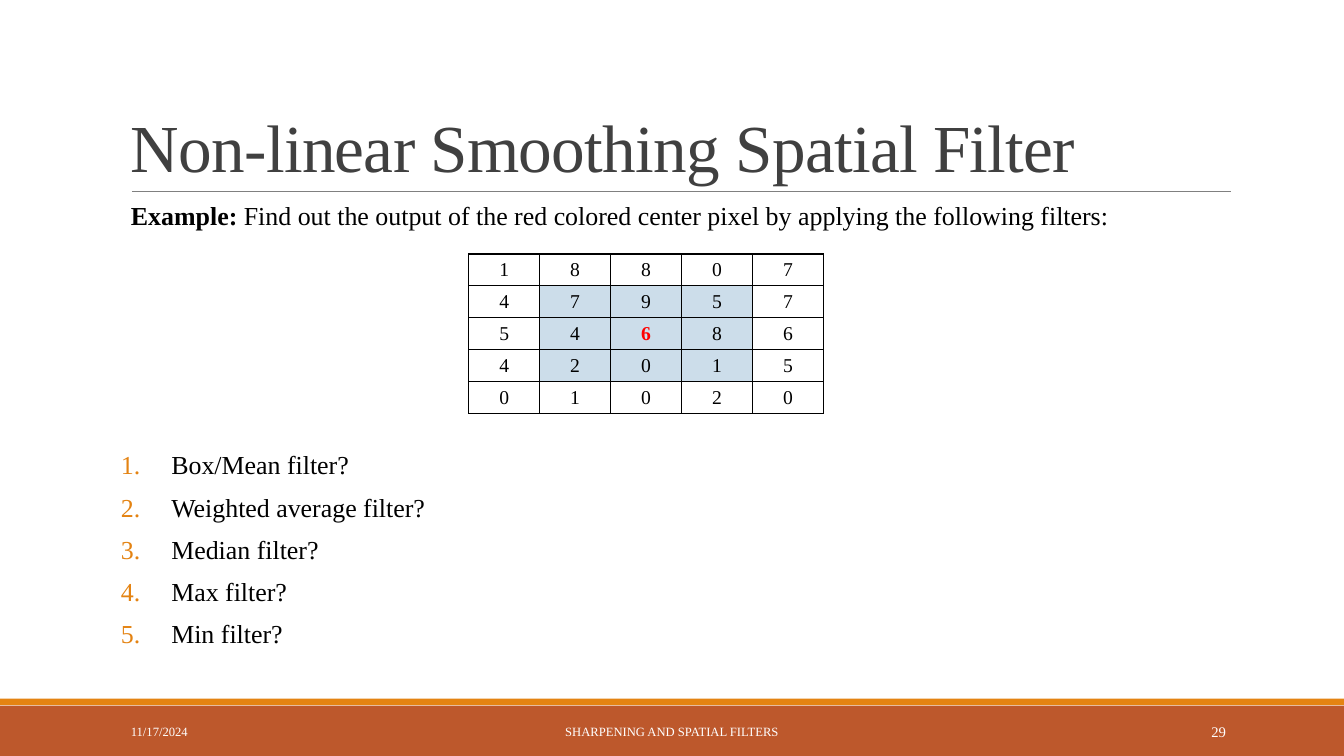
from dataclasses import dataclass

from lxml import etree
from pptx import Presentation
from pptx.dml.color import RGBColor
from pptx.enum import shapes, text
from pptx.oxml import ns
from pptx.util import Pt


@dataclass(frozen=True)
class Theme:
    font: str = "Times New Roman"
    title_size: float = 48
    body_size: float = 18.5
    table_size: float = 14
    footer_size: float = 9
    number_size: float = 10.5
    black: str = "000000"
    white: str = "FFFFFF"
    title: str = "404040"
    rule: str = "808080"
    bar: str = "BD582C"
    accent: str = "E48312"
    window: str = "CCDDEA"
    center: str = "FF0000"


THEME = Theme()
PIXELS = [
    [1, 8, 8, 0, 7],
    [4, 7, 9, 5, 7],
    [5, 4, 6, 8, 6],
    [4, 2, 0, 1, 5],
    [0, 1, 0, 2, 0],
]
FILTERS = ["Box/Mean filter?", "Weighted average filter?", "Median filter?",
           "Max filter?", "Min filter?"]


def rgb(color):
    return RGBColor.from_string(color)


def add_xml(parent, tag, **attributes):
    return etree.SubElement(parent, ns.qn(tag), attributes)


def style(paragraph, size, color, align=text.PP_ALIGN.LEFT):
    paragraph.alignment = align
    font = paragraph.font
    font.name, font.size, font.color.rgb = THEME.font, Pt(size), rgb(color)


def add_text_frame(slide, left, top, width, height, anchor=text.MSO_ANCHOR.MIDDLE):
    box = slide.shapes.add_textbox(Pt(left), Pt(top), Pt(width), Pt(height))
    frame = box.text_frame
    frame.word_wrap = True
    frame.vertical_anchor = anchor
    return frame


def add_bar(slide, top, height, color):
    bar = slide.shapes.add_shape(shapes.MSO_SHAPE.RECTANGLE, 0, Pt(top), Pt(960), Pt(height))
    bar.shadow.inherit = False
    bar.fill.solid()
    bar.fill.fore_color.rgb = rgb(color)
    bar.line.fill.background()


def add_rule(slide, left, right, y):
    rule = slide.shapes.add_connector(shapes.MSO_CONNECTOR.STRAIGHT,
                                      Pt(left), Pt(y), Pt(right), Pt(y))
    rule.line.color.rgb = rgb(THEME.rule)
    rule.line.width = Pt(0.5)
    add_xml(rule._element.spPr, "a:effectLst")


def add_title(slide, title):
    frame = add_text_frame(slide, 86.4, 22.3, 792, 114.5, text.MSO_ANCHOR.BOTTOM)
    paragraph = frame.paragraphs[0]
    paragraph.line_spacing = 0.85
    run = paragraph.add_run()
    run.text = title
    run._r.get_or_add_rPr().set("spc", "-50")
    style(paragraph, THEME.title_size, THEME.title)


def add_body_frame(slide, left, top, height):
    frame = add_text_frame(slide, left, top, 792, height, text.MSO_ANCHOR.TOP)
    frame.margin_left = frame.margin_right = 0
    return frame


def add_example(slide, label, question):
    paragraph = add_body_frame(slide, 93.6, 145.4, 30).paragraphs[0]
    paragraph.line_spacing = 0.7
    for words, bold in ((label, True), (question, False)):
        run = paragraph.add_run()
        run.text = words
        run.font.bold = bold
    style(paragraph, THEME.body_size, THEME.black)


def add_numbered_list(slide, items):
    frame = add_body_frame(slide, 86.4, 323.3, 170)
    frame.text = "\n".join(items)
    for paragraph in frame.paragraphs:
        paragraph.line_spacing = 0.7
        paragraph.space_before, paragraph.space_after = Pt(12.5), Pt(2)
        properties = paragraph._p.get_or_add_pPr()
        properties.set("marL", str(Pt(36)))
        properties.set("indent", str(-Pt(36)))
        add_xml(add_xml(properties, "a:buClr"), "a:srgbClr", val=THEME.accent)
        add_xml(properties, "a:buFont", typeface=THEME.font)
        add_xml(properties, "a:buAutoNum", type="arabicPeriod")
        style(paragraph, THEME.body_size, THEME.black)


def add_borders(cell):
    properties = cell._tc.get_or_add_tcPr()
    for side in ("a:lnL", "a:lnR", "a:lnT", "a:lnB"):
        line = add_xml(properties, side, w=str(Pt(1)))
        add_xml(add_xml(line, "a:solidFill"), "a:srgbClr", val=THEME.black)


def add_pixel_grid(slide, pixels):
    """Draw the pixels, shading the 3 by 3 window around the red center."""
    size = len(pixels)
    middle = size // 2
    column_width, row_height = Pt(50.7), Pt(22.7)
    table = slide.shapes.add_table(size, size, Pt(334.8), Pt(181.4),
                                   column_width * size, row_height * size).table
    table.first_row = table.horz_banding = False
    for column in table.columns:
        column.width = column_width
    for row, values in enumerate(pixels):
        table.rows[row].height = row_height
        for column, value in enumerate(values):
            distance = max(abs(row - middle), abs(column - middle))
            cell = table.cell(row, column)
            cell.text = str(value)
            cell.margin_top = cell.margin_bottom = Pt(3)
            cell.vertical_anchor = text.MSO_ANCHOR.MIDDLE
            add_borders(cell)
            cell.fill.solid()
            cell.fill.fore_color.rgb = rgb(THEME.window if distance <= 1 else THEME.white)
            paragraph = cell.text_frame.paragraphs[0]
            style(paragraph, THEME.table_size,
                  THEME.center if distance == 0 else THEME.black, text.PP_ALIGN.CENTER)
            paragraph.font.bold = distance == 0


def add_footer(slide, words, left, width, size, align):
    paragraph = add_text_frame(slide, left, 508.3, width, 28.8).paragraphs[0]
    paragraph.text = words
    style(paragraph, size, THEME.white, align)


def main():
    presentation = Presentation()
    presentation.slide_width, presentation.slide_height = Pt(960), Pt(540)
    slide = presentation.slides.add_slide(presentation.slide_layouts[6])

    add_bar(slide, 504, 36, THEME.bar)
    add_bar(slide, 499, 4.7, THEME.accent)
    add_rule(slide, 94.3, 879.1, 136.8)
    add_title(slide, "Non-linear Smoothing Spatial Filter")
    add_example(slide, "Example: ", "Find out the output of the red colored center pixel "
                "by applying the following filters:")
    add_numbered_list(slide, FILTERS)
    add_pixel_grid(slide, PIXELS)

    align = text.PP_ALIGN
    add_footer(slide, "11/17/2024", 86.4, 194.4, THEME.footer_size, align.LEFT)
    add_footer(slide, "SHARPENING AND SPATIAL FILTERS", 290.2, 379.4,
               THEME.footer_size, align.CENTER)
    add_footer(slide, "29", 779.8, 103, THEME.number_size, align.RIGHT)

    presentation.save("out.pptx")


if __name__ == "__main__":
    main()
